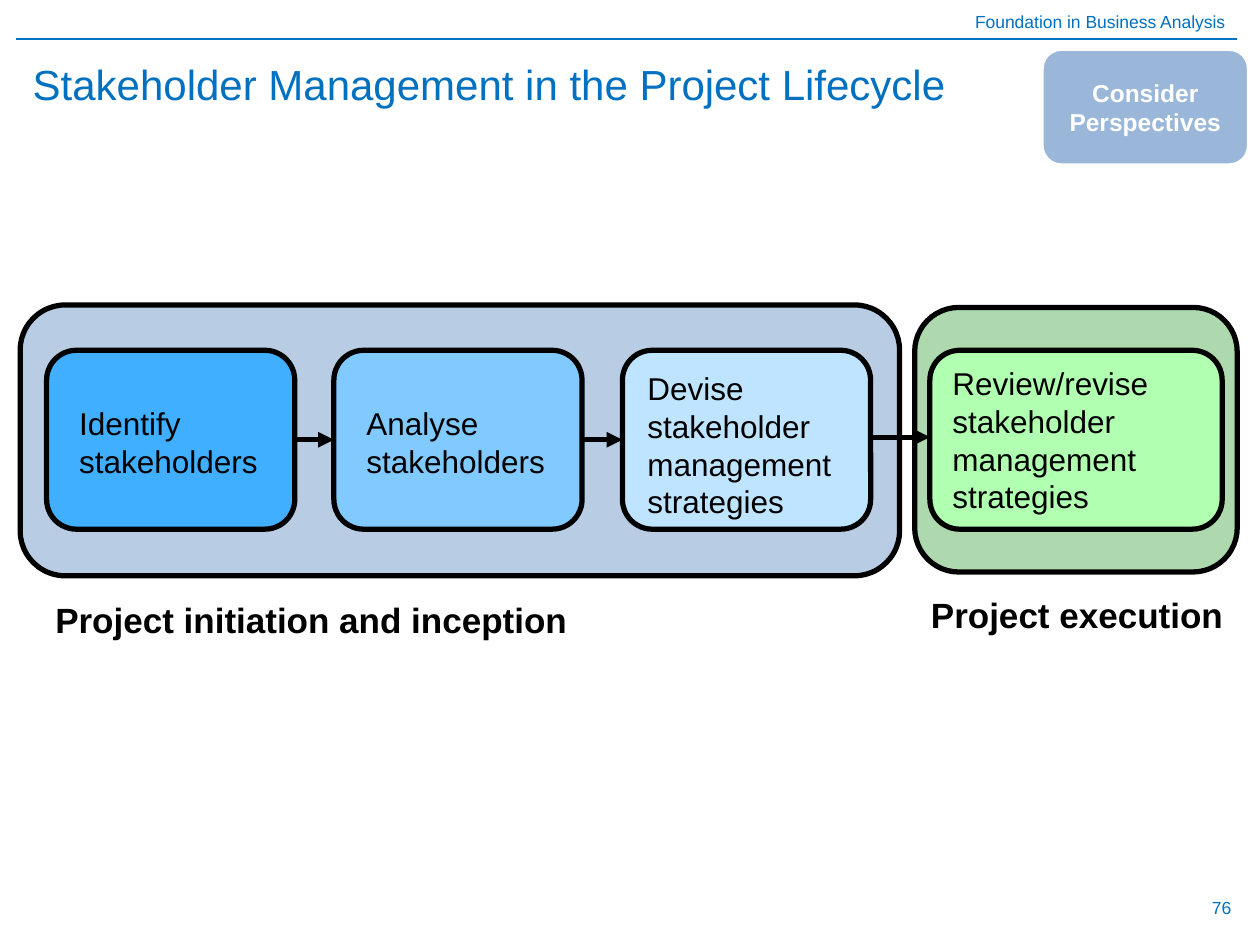
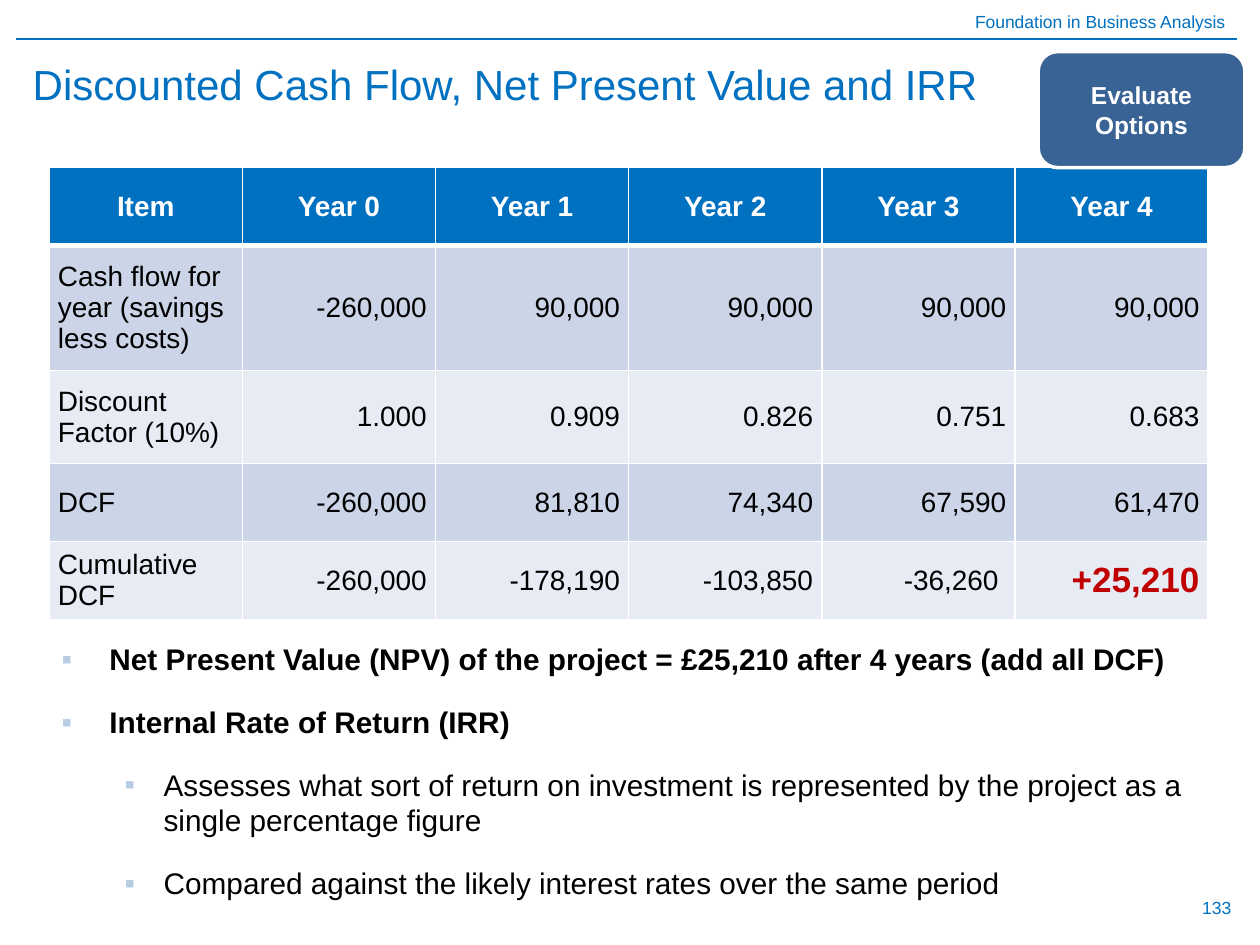
from lxml import etree
from pptx import Presentation
from pptx.dml.color import RGBColor
from pptx.enum.shapes import MSO_CONNECTOR, MSO_SHAPE
from pptx.enum.text import MSO_ANCHOR, PP_ALIGN
from pptx.oxml.ns import qn
from pptx.util import Inches, Pt

LEFT, CENTER, RIGHT = PP_ALIGN.LEFT, PP_ALIGN.CENTER, PP_ALIGN.RIGHT
TOP, MIDDLE = MSO_ANCHOR.TOP, MSO_ANCHOR.MIDDLE
ROUNDED, STRAIGHT = MSO_SHAPE.ROUNDED_RECTANGLE, MSO_CONNECTOR.STRAIGHT

FONT = "Arial"
BLUE = RGBColor(0x00, 0x70, 0xC0)
BLACK = RGBColor(0x00, 0x00, 0x00)
WHITE = RGBColor(0xFF, 0xFF, 0xFF)
RED = RGBColor(0xC0, 0x00, 0x00)
PALE_BLUE = RGBColor(0xB8, 0xCC, 0xE4)
PALE_GREEN = RGBColor(0xAE, 0xD9, 0xAE)
STEP_DARK = RGBColor(0x40, 0xAF, 0xFF)
STEP_MID = RGBColor(0x80, 0xCA, 0xFF)
STEP_LIGHT = RGBColor(0xBF, 0xE4, 0xFF)
STEP_GREEN = RGBColor(0xB1, 0xFF, 0xB1)
BADGE_LIGHT = RGBColor(0x9A, 0xB7, 0xD9)
BADGE_DARK = RGBColor(0x39, 0x63, 0x95)
BAND_DARK = RGBColor(0xCC, 0xD5, 0xE8)
BAND_LIGHT = RGBColor(0xE7, 0xEB, 0xF4)

COURSE = "Foundation in Business Analysis"
LIFECYCLE = {
    "title": "Stakeholder Management in the Project Lifecycle",
    "page": "76",
    "badge": ("Consider Perspectives", 8.27, 0.39, BADGE_LIGHT),
}
CASH_FLOW = {
    "title": "Discounted Cash Flow, Net Present Value and IRR",
    "page": "133",
    "badge": ("Evaluate Options", 8.24, 0.41, BADGE_DARK),
}

PHASES = [
    ("Project execution", (7.26, 2.44, 2.56, 2.1), PALE_GREEN, (7.29, 4.66, 2.6, 0.44)),
    ("Project initiation and inception", (0.16, 2.42, 6.98, 2.15), PALE_BLUE,
     (0.34, 4.7, 5.32, 0.44)),
]
STEP_TOP, STEP_HEIGHT = 2.78, 1.42
STEPS = [
    ("Identify stakeholders", 0.37, 1.97, STEP_DARK, (0.53, 3.16, 1.65, 0.71)),
    ("Analyse stakeholders", 2.65, 1.97, STEP_MID, (2.81, 3.16, 1.65, 0.71)),
    ("Devise stakeholder management strategies", 4.94, 1.97, STEP_LIGHT,
     (5.04, 2.88, 1.97, 1.31)),
    ("Review/revise stakeholder management strategies", 7.38, 2.32, STEP_GREEN,
     (7.46, 2.84, 2.02, 1.31)),
]
ARROW_TOPS = [3.49, 3.49, 3.47]

TABLE_ROWS = [
    ("Item", "Year 0", "Year 1", "Year 2", "Year 3", "Year 4"),
    ("Cash flow for year (savings less costs)", "-260,000", "90,000", "90,000", "90,000",
     "90,000"),
    ("Discount Factor (10%)", "1.000", "0.909", "0.826", "0.751", "0.683"),
    ("DCF", "-260,000", "81,810", "74,340", "67,590", "61,470"),
    ("Cumulative DCF", "-260,000", "-178,190", "-103,850", "-36,260 ", "+25,210"),
]
ROW_HEIGHTS = [0.62, 0.99, 0.74, 0.62, 0.62]
NET_PRESENT_VALUE = "+25,210"
BULLETS = [
    (0, "Net Present Value (NPV) of the project = £25,210 after 4 years (add all DCF)"),
    (0, "Internal Rate of Return (IRR)"),
    (1, "Assesses what sort of return on investment is represented by the project as a "
        "single percentage figure"),
    (1, "Compared against the likely interest rates over the same period"),
]
BULLET_INDENTS = [(0.38, -0.38), (0.81, -0.31)]


def inches(values):
    return [Inches(v) for v in values]


def format_font(font, size, color, bold=False):
    for name, value in {"name": FONT, "size": Pt(size), "bold": bold}.items():
        setattr(font, name, value)
    font.color.rgb = color


def write(tf, text, size, color=BLACK, bold=False, align=LEFT, anchor=TOP):
    tf.word_wrap = True
    tf.vertical_anchor = anchor
    p = tf.paragraphs[0]
    p.alignment = align
    r = p.add_run()
    r.text = text
    format_font(r.font, size, color, bold)


def add_text(s, box, text, size, **style):
    write(s.shapes.add_textbox(*inches(box)).text_frame, text, size, **style)


def add_rounded(s, box, fill, line, width):
    sp = s.shapes.add_shape(ROUNDED, *inches(box))
    sp.shadow.inherit = False
    sp.fill.solid()
    sp.fill.fore_color.rgb = fill
    sp.line.color.rgb = line
    sp.line.width = Pt(width)
    return sp


def add_line(s, ends, color, width, arrow=False):
    line = s.shapes.add_connector(STRAIGHT, *inches(ends))
    line.line.color.rgb = color
    line.line.width = Pt(width)
    sp_pr = line._element.spPr
    if arrow:
        etree.SubElement(sp_pr.find(qn("a:ln")), qn("a:tailEnd"), type="triangle")
    etree.SubElement(sp_pr, qn("a:effectLst"))


def add_slide(prs, content):
    s = prs.slides.add_slide(prs.slide_layouts[5])
    add_text(s, (0, 0.04, 9.82, 0.27), COURSE, 10, color=BLUE, align=RIGHT)
    add_line(s, (0.13, 0.31, 9.82, 0.31), BLUE, 0.75)
    add_text(s, (7.54, 7, 2.33, 0.4), content["page"], 10, color=BLUE, align=RIGHT,
             anchor=MIDDLE)
    title = s.shapes.title
    title.left, title.top, title.width, title.height = inches((0.16, 0.39, 9.61, 0.55))
    write(title.text_frame, content["title"], 24, color=BLUE, anchor=MIDDLE)
    return s


def add_badge(s, content):
    text, left, top, fill = content["badge"]
    sp = add_rounded(s, (left, top, 1.64, 0.92), fill, WHITE, 2)
    write(sp.text_frame, text, 14, color=WHITE, bold=True, align=CENTER, anchor=MIDDLE)


def add_border(cell, side, width):
    ln = etree.SubElement(cell._tc.get_or_add_tcPr(), qn(f"a:ln{side}"), w=str(Pt(width)))
    fill = etree.SubElement(ln, qn("a:solidFill"))
    etree.SubElement(fill, qn("a:srgbClr"), val=str(WHITE))


def format_cell(cell, text, row, col):
    header = row == 0
    for side in "LRTB":
        thick = (header and side == "B") or (row == 1 and side == "T")
        add_border(cell, side, 3 if thick else 1)
    cell.fill.solid()
    cell.fill.fore_color.rgb = BLUE if header else (BAND_LIGHT, BAND_DARK)[row % 2]
    cell.margin_left = cell.margin_right = Inches(0.07)
    cell.margin_top = cell.margin_bottom = 0
    cell.vertical_anchor = MIDDLE
    p = cell.text_frame.paragraphs[0]
    p.alignment = CENTER if header else RIGHT if col else LEFT
    r = p.add_run()
    r.text = text
    if text == NET_PRESENT_VALUE:
        format_font(r.font, 20, RED, True)
    else:
        format_font(r.font, 16, WHITE if header else BLACK, header)


def add_cash_flow_table(s):
    cols = len(TABLE_ROWS[0])
    box = inches((0.39, 1.33, 9.2, sum(ROW_HEIGHTS)))
    table = s.shapes.add_table(len(TABLE_ROWS), cols, *box).table
    for column in table.columns:
        column.width = Inches(9.2 / cols)
    for i, (values, height) in enumerate(zip(TABLE_ROWS, ROW_HEIGHTS)):
        table.rows[i].height = Inches(height)
        for j, text in enumerate(values):
            format_cell(table.cell(i, j), text, i, j)


def add_bullets(s):
    tf = s.shapes.add_textbox(*inches((0.39, 5.04, 9.38, 2.07))).text_frame
    tf.word_wrap = True
    for i, (level, text) in enumerate(BULLETS):
        p = tf.add_paragraph() if i else tf.paragraphs[0]
        p.level = level
        p.space_after = Pt(12)
        if i:
            p.space_before = Pt(3.4)
        p_pr = p._p.get_or_add_pPr()
        for name, value in zip(("marL", "indent"), BULLET_INDENTS[level]):
            p_pr.set(name, str(Inches(value)))
        color = etree.SubElement(p_pr, qn("a:buClr"))
        etree.SubElement(color, qn("a:srgbClr"), val=str(PALE_BLUE))
        etree.SubElement(p_pr, qn("a:buFont"), typeface=FONT)
        etree.SubElement(p_pr, qn("a:buChar"), char="▪")
        r = p.add_run()
        r.text = text
        format_font(r.font, 17, BLACK, level == 0)


def build_lifecycle(prs):
    s = add_slide(prs, LIFECYCLE)
    for name, box, fill, label_box in PHASES:
        add_rounded(s, box, fill, BLACK, 3)
        add_text(s, label_box, name, 20, bold=True)
    for text, left, width, fill, text_box in STEPS:
        add_rounded(s, (left, STEP_TOP, width, STEP_HEIGHT), fill, BLACK, 3)
        add_text(s, text_box, text, 18)
    for step, following, y in zip(STEPS, STEPS[1:], ARROW_TOPS):
        add_line(s, (step[1] + step[2], y, following[1], y), BLACK, 3, arrow=True)
    add_badge(s, LIFECYCLE)


def build_cash_flow(prs):
    s = add_slide(prs, CASH_FLOW)
    add_cash_flow_table(s)
    add_badge(s, CASH_FLOW)
    add_bullets(s)


def main():
    prs = Presentation()
    prs.slide_width, prs.slide_height = Inches(10), Inches(7.5)
    build_lifecycle(prs)
    build_cash_flow(prs)
    prs.save("out.pptx")


if __name__ == "__main__":
    main()
